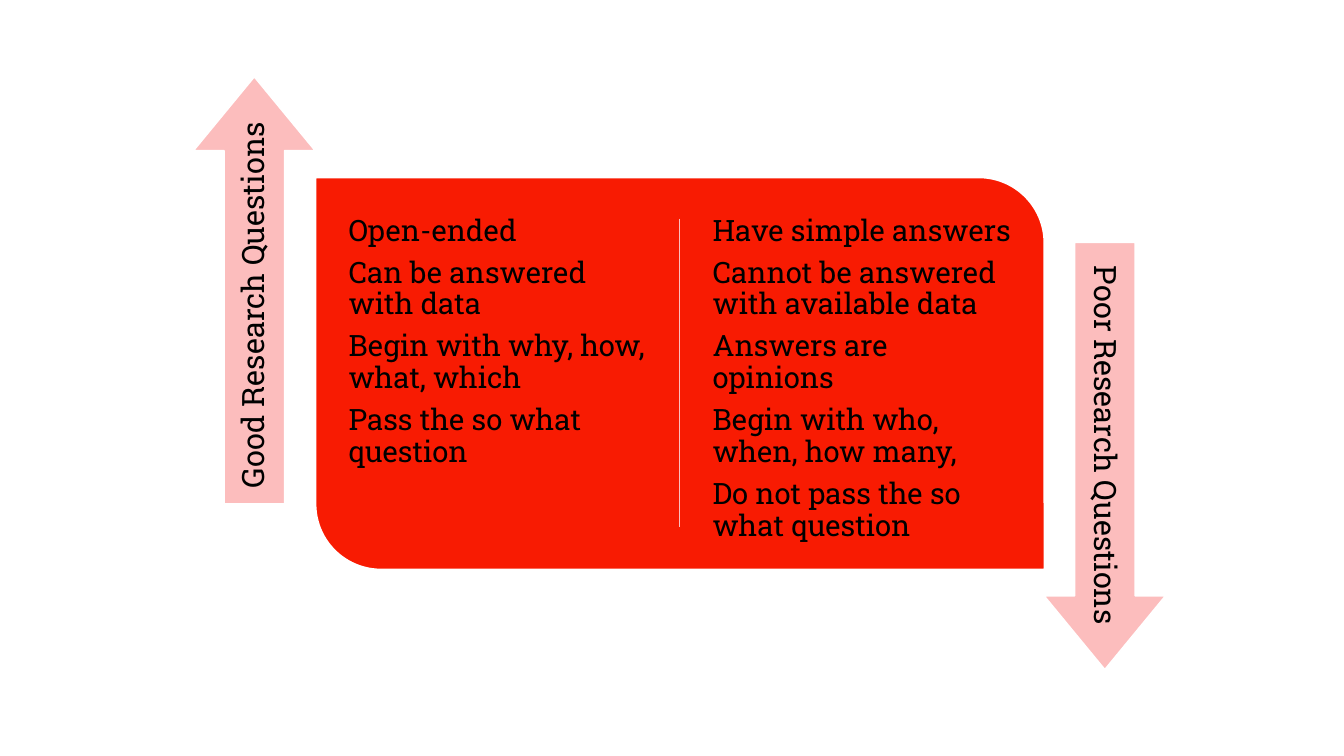
from lxml.etree import SubElement
from pptx import Presentation
from pptx.dml.color import RGBColor
from pptx.enum.shapes import MSO_CONNECTOR, MSO_SHAPE
from pptx.enum.text import MSO_ANCHOR, MSO_AUTO_SIZE, PP_ALIGN
from pptx.oxml.ns import qn
from pptx.util import Pt

COLORS = {"panel": "F81B02", "accent": "FCBDBD", "edge": "FFFFFF", "text": "000000"}
FONT = "Roboto Slab"
INSET = 6.6
LINE_WIDTH = 1.25


class SlideBuilder:
    def __init__(self, page):
        self.page = page

    def color(self, name):
        return RGBColor.from_string(COLORS[name])

    def shape(self, kind, frame, fill, adjustments, rotation=0):
        shape = self.page.shapes.add_shape(kind, *map(Pt, frame))
        for index, value in enumerate(adjustments):
            shape.adjustments[index] = value
        shape.rotation = rotation
        shape.shadow.inherit = False
        shape.fill.solid()
        shape.fill.fore_color.rgb = self.color(fill)
        shape.line.color.rgb = self.color("edge")
        shape.line.width = Pt(LINE_WIDTH)

    def line(self, start, end):
        line = self.page.shapes.add_connector(MSO_CONNECTOR.STRAIGHT, *map(Pt, start + end))
        line.line.color.rgb = self.color("accent")
        line.line.width = Pt(LINE_WIDTH)
        SubElement(line._element.spPr, qn("a:effectLst"))

    def format_text(self, box, size, align, anchor):
        frame = box.text_frame
        frame.word_wrap = True
        frame.auto_size = MSO_AUTO_SIZE.NONE
        frame.vertical_anchor = anchor
        frame.margin_left = frame.margin_right = Pt(INSET)
        frame.margin_top = frame.margin_bottom = Pt(INSET)
        for para in frame.paragraphs:
            para.alignment = align
            para.line_spacing = 0.9
            para.space_before = Pt(0)
            para.space_after = Pt(0.35 * size)
            for span in para.runs:
                span.font.name = FONT
                span.font.size = Pt(size)
                span.font.color.rgb = self.color("text")

    def list(self, box, frame, items):
        box.left, box.top, box.width, box.height = map(Pt, frame)
        box.text_frame.text = "\n".join(items)
        self.format_text(box, 21, PP_ALIGN.LEFT, MSO_ANCHOR.TOP)
        for para in box.text_frame.paragraphs:
            properties = para._p.get_or_add_pPr()
            properties.set("marL", "0")
            properties.set("indent", "0")
            SubElement(properties, qn("a:buNone"))

    def label(self, text, frame, rotation):
        box = self.page.shapes.add_textbox(*map(Pt, frame))
        box.rotation = rotation
        box.text_frame.text = text
        self.format_text(box, 22, PP_ALIGN.RIGHT, MSO_ANCHOR.MIDDLE)


deck = Presentation()
deck.slide_width, deck.slide_height = Pt(960), Pt(540)
page = deck.slides.add_slide(deck.slide_layouts[3])
title, *columns = page.placeholders
title._element.getparent().remove(title._element)
builder = SlideBuilder(page)

builder.shape(MSO_SHAPE.ROUND_2_DIAG_RECTANGLE, (225.4, 126.7, 520.6, 280.1), "panel", (0, 0.167))
builder.line((485.3, 156.2), (485.3, 376.6))

good_traits = [
    "Open-ended",
    "Can be answered with data",
    "Begin with why, how, what, which",
    "Pass the so what question",
]
poor_traits = [
    "Have simple answers",
    "Cannot be answered with available data",
    "Answers are opinions",
    "Begin with who, when, how many,",
    "Do not pass the so what question",
]
for box, left, items in zip(columns, (242.4, 502.4), (good_traits, poor_traits)):
    page.shapes._spTree.append(box._element)
    builder.list(box, (left, 147.4, 229, 237.6), items)

arrows = [
    ("Good Research Questions", 270, (29, 163.8), (42.2, 198.7)),
    ("Poor Research Questions", 90, (636.5, 282.2), (649.4, 291.4)),
]
for text, rotation, arrow_corner, label_corner in arrows:
    builder.shape(MSO_SHAPE.RIGHT_ARROW, arrow_corner + (305.3, 87.1), "accent", (0.498, 0.607), rotation)
    builder.label(text, label_corner + (279.4, 43.2), rotation)

deck.save("out.pptx")
